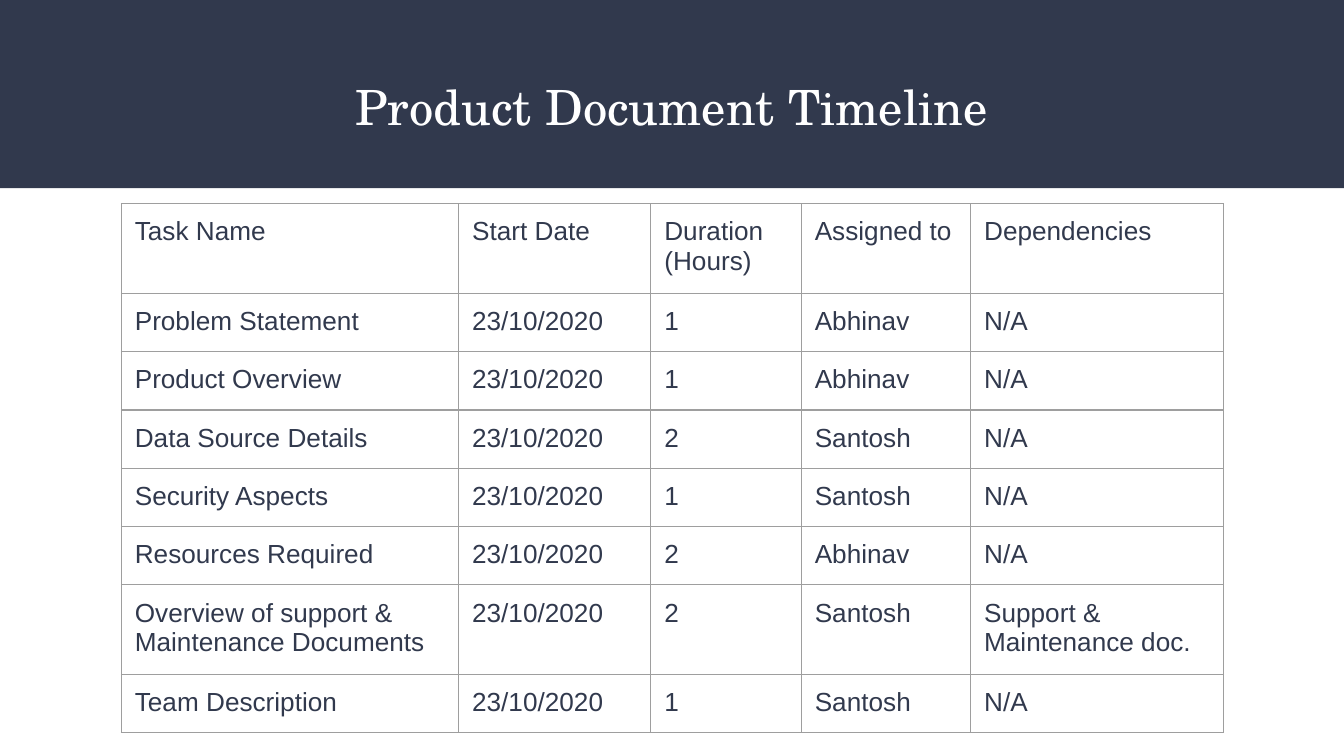
from dataclasses import dataclass
from typing import NamedTuple

from lxml import etree
from pptx import Presentation
from pptx.dml.color import RGBColor
from pptx.enum.shapes import MSO_SHAPE
from pptx.enum.text import MSO_ANCHOR, PP_ALIGN
from pptx.oxml.ns import qn
from pptx.util import Inches, Pt

RECTANGLE = MSO_SHAPE.RECTANGLE
CENTER = PP_ALIGN.CENTER
TOP = MSO_ANCHOR.TOP
BORDER_SIDES = ("a:lnL", "a:lnR", "a:lnT", "a:lnB")
PLAIN_TABLE_STYLE = "{2D5ABB26-0587-4C30-8999-92F81FD0307C}"
GRID_COLUMNS = 100
GRID_ROWS = 56.25
GRID_UNIT = Inches(0.1)


@dataclass(frozen=True)
class Theme:
    navy: str = "31394D"
    white: str = "FFFFFF"
    border: str = "9E9E9E"
    title_font: str = "TeX Gyre Schola"
    body_font: str = "Arial"
    title_size: float = 26
    body_size: float = 14
    border_width: float = 0.75


class Area(NamedTuple):
    column: float
    row: float
    columns: float
    rows: float

    def lengths(self) -> list[int]:
        return [grid(count) for count in self]


class Task(NamedTuple):
    name: str
    start: str
    hours: str
    owner: str
    dependencies: str = "N/A"


THEME = Theme()
BANNER = Area(0, 0, GRID_COLUMNS, 14)
TITLE = Area(3.4, 4.1, 93.2, 6.8)
TIMELINE = Area(9.03, 15.15, 32.8, 32.8)
COLUMN_WIDTHS = (25.1, 14.3, 11.2, 12.6, 18.8)
ROW_HEIGHTS = (3.3, 4.3, 4.3, 4.3, 4.2, 4.2, 4.2, 4.3)
START_DATE = "23/10/2020"
TASKS = (
    Task("Task Name", "Start Date", "Duration (Hours)", "Assigned to", "Dependencies"),
    Task("Problem Statement", START_DATE, "1", "Abhinav"),
    Task("Product Overview", START_DATE, "1", "Abhinav"),
    Task("Data Source Details", START_DATE, "2", "Santosh"),
    Task("Security Aspects", START_DATE, "1", "Santosh"),
    Task("Resources Required", START_DATE, "2", "Abhinav"),
    Task("Overview of support & Maintenance Documents", START_DATE, "2", "Santosh",
         "Support & Maintenance doc."),
    Task("Team Description", START_DATE, "1", "Santosh"),
)


def grid(count: float) -> int:
    return round(count * GRID_UNIT)


def set_margins(holder) -> None:
    holder.margin_left = holder.margin_right = GRID_UNIT
    holder.margin_top = holder.margin_bottom = GRID_UNIT


def add_span(para, text: str, font: str, size: float, color: str) -> None:
    span = para.add_run()
    span.text = text
    span.font.name = font
    span.font.size = Pt(size)
    span.font.color.rgb = RGBColor.from_string(color)


def add_banner(page) -> None:
    banner = page.shapes.add_shape(RECTANGLE, *BANNER.lengths())
    banner.shadow.inherit = False
    banner.fill.solid()
    banner.fill.fore_color.rgb = RGBColor.from_string(THEME.navy)
    banner.line.fill.background()


def add_title(page, text: str) -> None:
    box = page.shapes.add_textbox(*TITLE.lengths())
    frame = box.text_frame
    frame.word_wrap = True
    frame.vertical_anchor = TOP
    set_margins(frame)
    para = frame.paragraphs[0]
    para.alignment = CENTER
    para.line_spacing = 1.15
    para.space_after = Pt(16)
    add_span(para, text, THEME.title_font, THEME.title_size, THEME.white)


def add_borders(cell) -> None:
    properties = cell._tc.get_or_add_tcPr()
    for side in BORDER_SIDES:
        line = etree.SubElement(properties, qn(side), w=str(Pt(THEME.border_width)))
        fill = etree.SubElement(line, qn("a:solidFill"))
        etree.SubElement(fill, qn("a:srgbClr"), val=THEME.border)


def add_timeline(page, tasks: tuple[Task, ...]) -> None:
    frame = page.shapes.add_table(len(tasks), len(COLUMN_WIDTHS), *TIMELINE.lengths())
    table = frame.table
    table.first_row = False
    table.horz_banding = False
    table._tbl.tblPr.find(qn("a:tableStyleId")).text = PLAIN_TABLE_STYLE
    for column, width in zip(table.columns, COLUMN_WIDTHS):
        column.width = grid(width)
    for row, height, task in zip(table.rows, ROW_HEIGHTS, tasks):
        row.height = grid(height)
        for cell, text in zip(row.cells, task):
            set_margins(cell)
            add_borders(cell)
            cell.fill.background()
            add_span(cell.text_frame.paragraphs[0], text,
                     THEME.body_font, THEME.body_size, THEME.navy)
    frame.width, frame.height = grid(TIMELINE.columns), grid(TIMELINE.rows)


def main() -> None:
    deck = Presentation()
    deck.slide_width = grid(GRID_COLUMNS)
    deck.slide_height = grid(GRID_ROWS)
    page = deck.slides.add_slide(deck.slide_layouts[6])
    add_banner(page)
    add_title(page, "Product Document Timeline")
    add_timeline(page, TASKS)
    deck.save("out.pptx")


if __name__ == "__main__":
    main()
